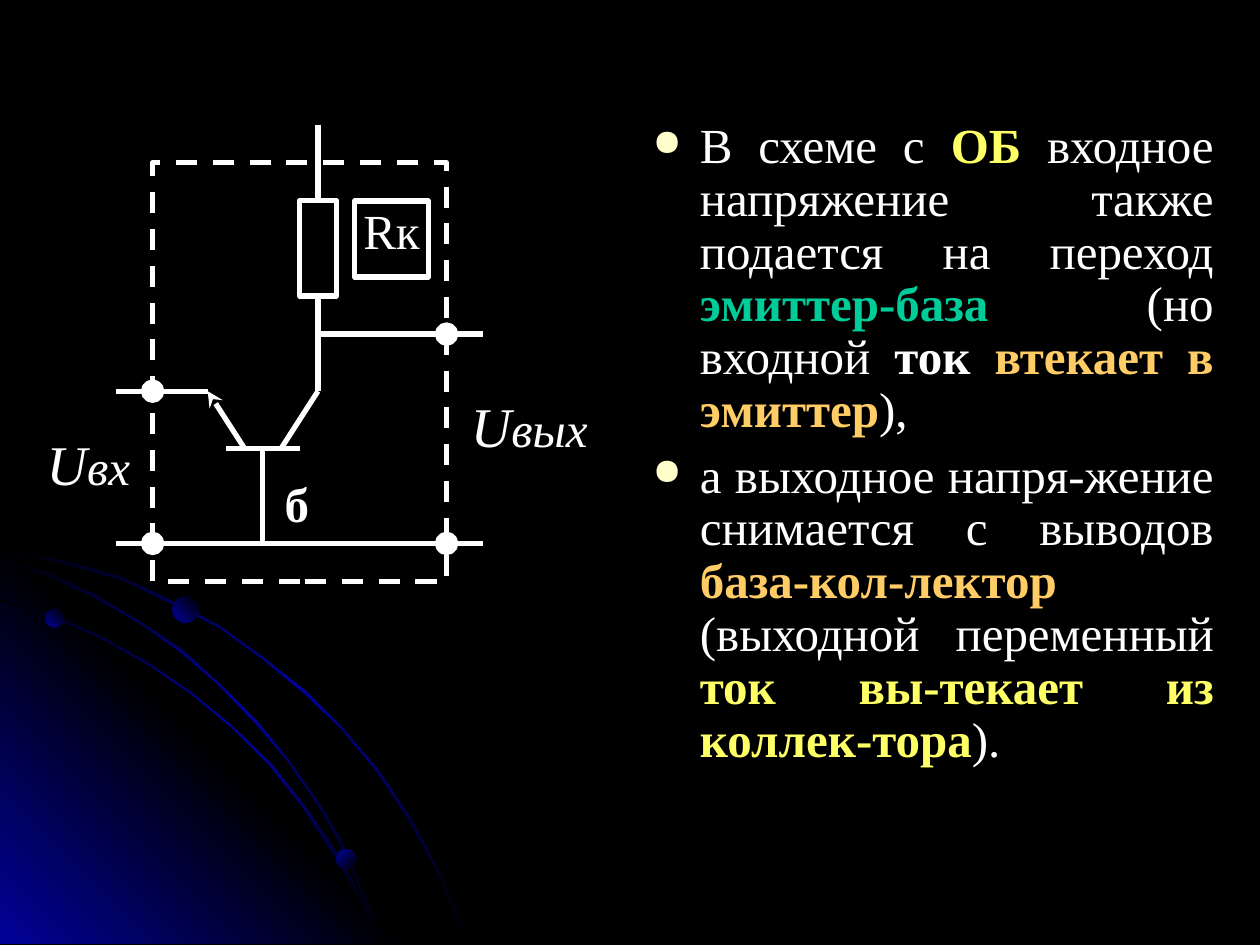
import copy
from dataclasses import dataclass

import pptx
import pptx.dml.color
import pptx.enum.dml
import pptx.enum.shapes
import pptx.enum.text
import pptx.oxml
import pptx.oxml.ns
import pptx.util

Pt = pptx.util.Pt
Shapes = pptx.enum.shapes.MSO_SHAPE
Align = pptx.enum.text.PP_ALIGN


@dataclass(frozen=True)
class Theme:
    font: str = "Times New Roman"
    black: str = "000000"
    blue: str = "010199"
    white: str = "FFFFFF"
    yellow: str = "FFFF66"
    green: str = "00CC99"
    orange: str = "FFCC66"
    bullet: str = "FFFFCC"
    body_size: int = 28
    symbol_size: int = 32
    line_width: int = 3


THEME = Theme()

# Upper edges of the three decorative arcs, relative to the decoration box
ARCS = [
    [(0, 5.8), (20.2, 10.1), (41, 14.4), (70.6, 23.1), (97.9, 36), (125.3, 50.4),
     (150.5, 67.7), (174.2, 87.2), (195.8, 108.8), (216, 132.5), (234, 159.2),
     (244.1, 177.2), (253.4, 195.2), (260.6, 213.2), (267.8, 232)],
    [(0, 34.6), (29.5, 44), (56.9, 56.2), (84.2, 71.3), (109.4, 87.9), (132.5, 107.3),
     (154.8, 128.9), (174.2, 153.4), (191.5, 179.3), (205.9, 205.2), (213.1, 218.2),
     (218.2, 232)],
    [(0, 10.8), (28.1, 20.2), (54.7, 33.2), (79.9, 47.6), (103.7, 64.1), (126, 83.6),
     (146.9, 105.2), (164.9, 126.8), (182.9, 152.7), (193.7, 171.4), (203, 191.6),
     (211.7, 211), (218.2, 232)],
]
ARC_THICKNESS = 1.5


def color(code):
    return pptx.dml.color.RGBColor.from_string(code)


def add_xml(parent, tag, **attributes):
    element = pptx.oxml.parse_xml(f"<a:{tag} {pptx.oxml.ns.nsdecls('a')}/>")
    for name, value in attributes.items():
        element.set(name, str(value))
    parent.append(element)
    return element


def set_gradient(shape, colors, angle):
    """Spread the colours evenly along a line at the angle."""
    fill = shape.fill
    fill.gradient()
    fill.gradient_angle = angle
    stop_list = shape._element.spPr.find(".//" + pptx.oxml.ns.qn("a:gsLst"))
    for _ in range(len(colors) - len(stop_list)):
        stop_list.append(copy.deepcopy(stop_list[-1]))
    for index, (stop, code) in enumerate(zip(fill.gradient_stops, colors)):
        stop.color.rgb = color(code)
        stop.position = index / (len(colors) - 1)


def add_shape(slide, kind, left, top, width, height, fill=None, outline=True):
    shape = slide.shapes.add_shape(kind, Pt(left), Pt(top), Pt(width), Pt(height))
    shape.shadow.inherit = False
    if fill:
        shape.fill.solid()
        shape.fill.fore_color.rgb = color(fill)
    else:
        shape.fill.background()
    if outline:
        shape.line.color.rgb = color(THEME.white)
        shape.line.width = Pt(THEME.line_width)
    else:
        shape.line.fill.background()
    return shape


def add_outline(slide, left, top, points):
    builder = slide.shapes.build_freeform(*points[0], scale=Pt(1))
    builder.add_line_segments(points[1:], close=True)
    shape = builder.convert_to_shape(Pt(left), Pt(top))
    shape.shadow.inherit = False
    shape.line.fill.background()
    return shape


def add_line(slide, start, end, arrow=False):
    line = slide.shapes.add_connector(
        pptx.enum.shapes.MSO_CONNECTOR.STRAIGHT, *map(Pt, start + end))
    line.line.color.rgb = color(THEME.white)
    line.line.width = Pt(THEME.line_width)
    if arrow:
        add_xml(line.line._get_or_add_ln(), "tailEnd", type="stealth")
    add_xml(line._element.spPr, "effectLst")


def add_text(paragraph, text, size=THEME.body_size, fill=THEME.white, bold=False, italic=False):
    run = paragraph.add_run()
    run.text = text
    font = run.font
    font.name, font.size, font.bold, font.italic = THEME.font, Pt(size), bold, italic
    font.color.rgb = color(fill)


def prepare_frame(frame, horizontal=0, vertical=0, align=Align.CENTER):
    frame.word_wrap = True
    frame.vertical_anchor = pptx.enum.text.MSO_ANCHOR.TOP
    frame.margin_left = frame.margin_right = Pt(horizontal)
    frame.margin_top = frame.margin_bottom = Pt(vertical)
    frame.paragraphs[0].alignment = align
    return frame


def add_text_frame(slide, left, top, width, height, **layout):
    box = slide.shapes.add_textbox(Pt(left), Pt(top), Pt(width), Pt(height))
    return prepare_frame(box.text_frame, **layout)


def add_decoration(slide, left, top, size):
    """Glowing corner with arcs and beads."""
    corner = add_outline(slide, left, top, [(0, 0), (0, size), (size, size)])
    set_gradient(corner, [THEME.blue, THEME.black, THEME.blue], 225)
    for upper in ARCS:
        lower = []
        for index, (x, y) in enumerate(upper):
            share = index / (len(upper) - 1)
            lower.append((x - ARC_THICKNESS * share, y + ARC_THICKNESS * (1 - share)))
        lower[-1] = (lower[-1][0], upper[-1][1])
        arc = add_outline(slide, left, top, upper + lower[::-1])
        set_gradient(arc, [THEME.black, THEME.blue, THEME.black], 135)
    for x, y, diameter, angle in [(26, 40.4, 10.8, 225), (192.2, 177.9, 11.5, 135),
                                  (98.6, 33.2, 15.1, 225)]:
        bead = add_shape(slide, Shapes.OVAL, left + x, top + y, diameter, diameter,
                         outline=False)
        set_gradient(bead, [THEME.black, THEME.blue], angle)


def add_circuit(slide, left, top, width, height):
    """Common-base stage on a grid of 20 columns and 24 rows."""
    column, row = width / 20, height / 24

    def point(x, y):
        return left + x * column, top + y * row

    def box(x, y, columns, rows):
        return *point(x, y), columns * column, rows * row

    # Transistor, leads and wires
    for start, end in [((10, 17), (6, 17)), ((9, 17), (11, 14)), ((8, 17), (8, 22)),
                       ((11, 0), (11, 4)), ((11, 9), (11, 14)), ((0, 14), (5, 14)),
                       ((0, 22), (20, 22)), ((11, 11), (20, 11))]:
        add_line(slide, point(*start), point(*end))
    add_line(slide, point(7, 17), point(5, 14), arrow=True)

    # Load resistor, its label and the dashed border
    add_shape(slide, Shapes.RECTANGLE, *box(10, 4, 2, 5))
    label = add_shape(slide, Shapes.RECTANGLE, *box(13, 4, 4, 4))
    add_text(prepare_frame(label.text_frame).paragraphs[0], "Rк")
    border = add_shape(slide, Shapes.RECTANGLE, *box(2, 2, 16, 22))
    border.line.dash_style = pptx.enum.dml.MSO_LINE.DASH

    # Terminals
    diameter = 10.4
    for x, y in [(2, 14), (2, 22), (18, 11), (18, 22)]:
        center_x, center_y = point(x, y)
        add_shape(slide, Shapes.OVAL, center_x - diameter / 2, center_y - diameter / 2,
                  diameter, diameter, fill=THEME.white)

    # Voltage and base labels
    for index, area in [("вх", (-5, 16, 7, 4)), ("вых", (18, 14, 9, 4))]:
        paragraph = add_text_frame(slide, *box(*area)).paragraphs[0]
        add_text(paragraph, "U", size=THEME.symbol_size, italic=True)
        add_text(paragraph, index, italic=True)
    base = add_text_frame(slide, *box(8.5, 18.3, 2.7, 3.1))
    add_text(base.paragraphs[0], "б", bold=True)


def add_explanation(slide, left, top, width, height):
    """Bulleted text with coloured key words."""
    key = {"bold": True}
    content = [
        [("В схеме с ", {}), ("ОБ", {"fill": THEME.yellow, **key}),
         (" входное напряжение также подается на переход ", {}),
         ("эмиттер-база", {"fill": THEME.green, **key}), (" (но входной ", {}),
         ("ток ", key), ("втекает в эмиттер", {"fill": THEME.orange, **key}), ("), ", {})],
        [("а выходное напря-жение снимается с выводов ", {}),
         ("база-кол-лектор", {"fill": THEME.orange, **key}),
         (" (выходной переменный ", {}),
         ("ток вы-текает из коллек-тора", {"fill": THEME.yellow, **key}), (").", {})],
    ]
    frame = add_text_frame(slide, left, top, width, height, horizontal=7.2, vertical=3.6)
    for index, pieces in enumerate(content):
        paragraph = frame.add_paragraph() if index else frame.paragraphs[0]
        paragraph.alignment = Align.JUSTIFY
        paragraph.line_spacing = 0.9
        paragraph.space_before = Pt(7)
        properties = paragraph._p.get_or_add_pPr()
        properties.set("marL", str(Pt(27)))
        properties.set("indent", str(-Pt(27)))
        add_xml(add_xml(properties, "buClr"), "srgbClr", val=THEME.bullet)
        add_xml(properties, "buSzPct", val=75000)
        add_xml(properties, "buChar", char="●")
        for text, style in pieces:
            add_text(paragraph, text, **style)


def main():
    presentation = pptx.Presentation()
    presentation.slide_width, presentation.slide_height = Pt(720), Pt(540)
    slide = presentation.slides.add_slide(presentation.slide_layouts[6])
    slide.background.fill.solid()
    slide.background.fill.fore_color.rgb = color(THEME.black)
    add_decoration(slide, 0, 307.4, 232)
    add_explanation(slide, 365.8, 65.5, 334.8, 416.9)
    add_circuit(slide, 66.2, 71.3, 210, 261)
    presentation.save("out.pptx")


if __name__ == "__main__":
    main()
